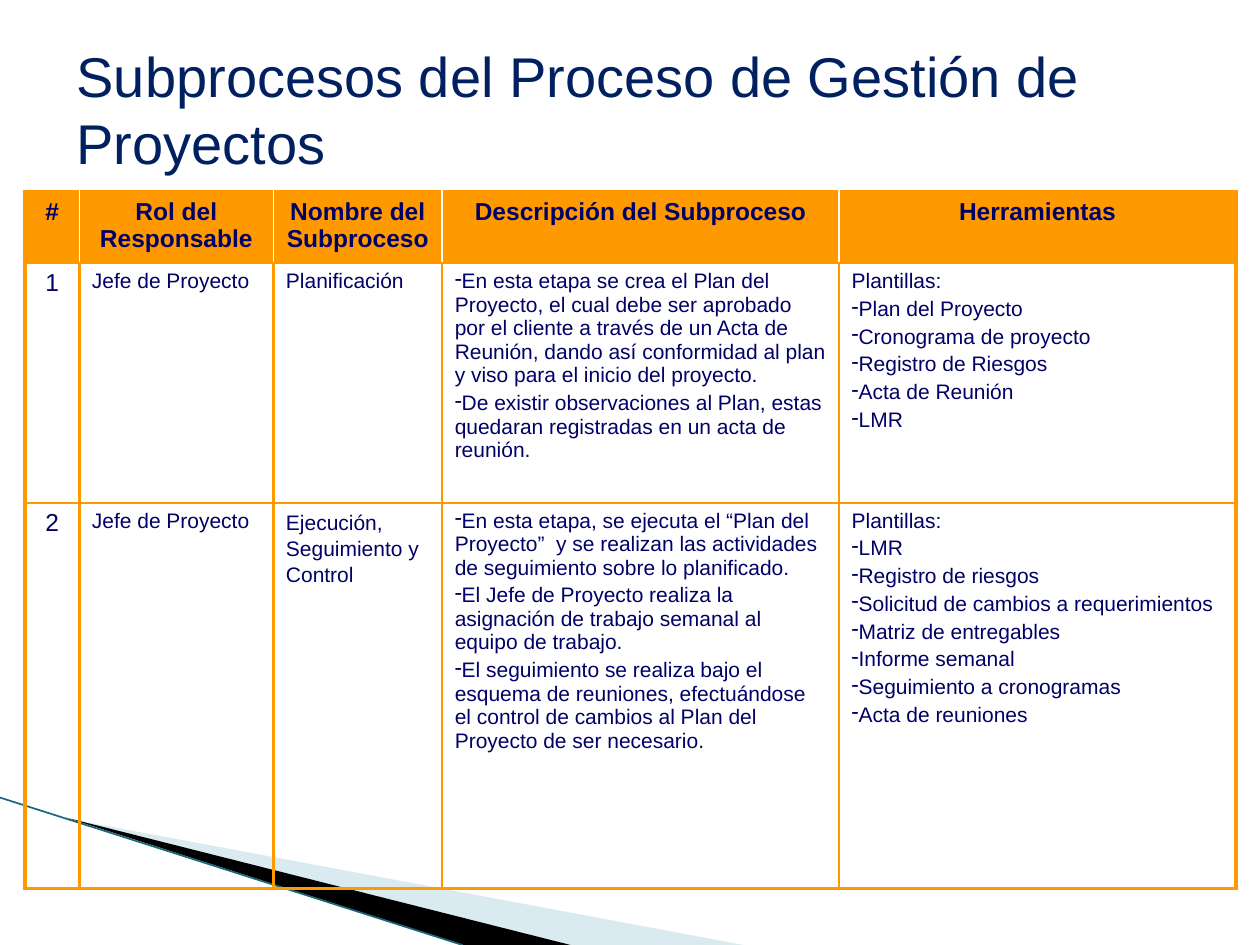
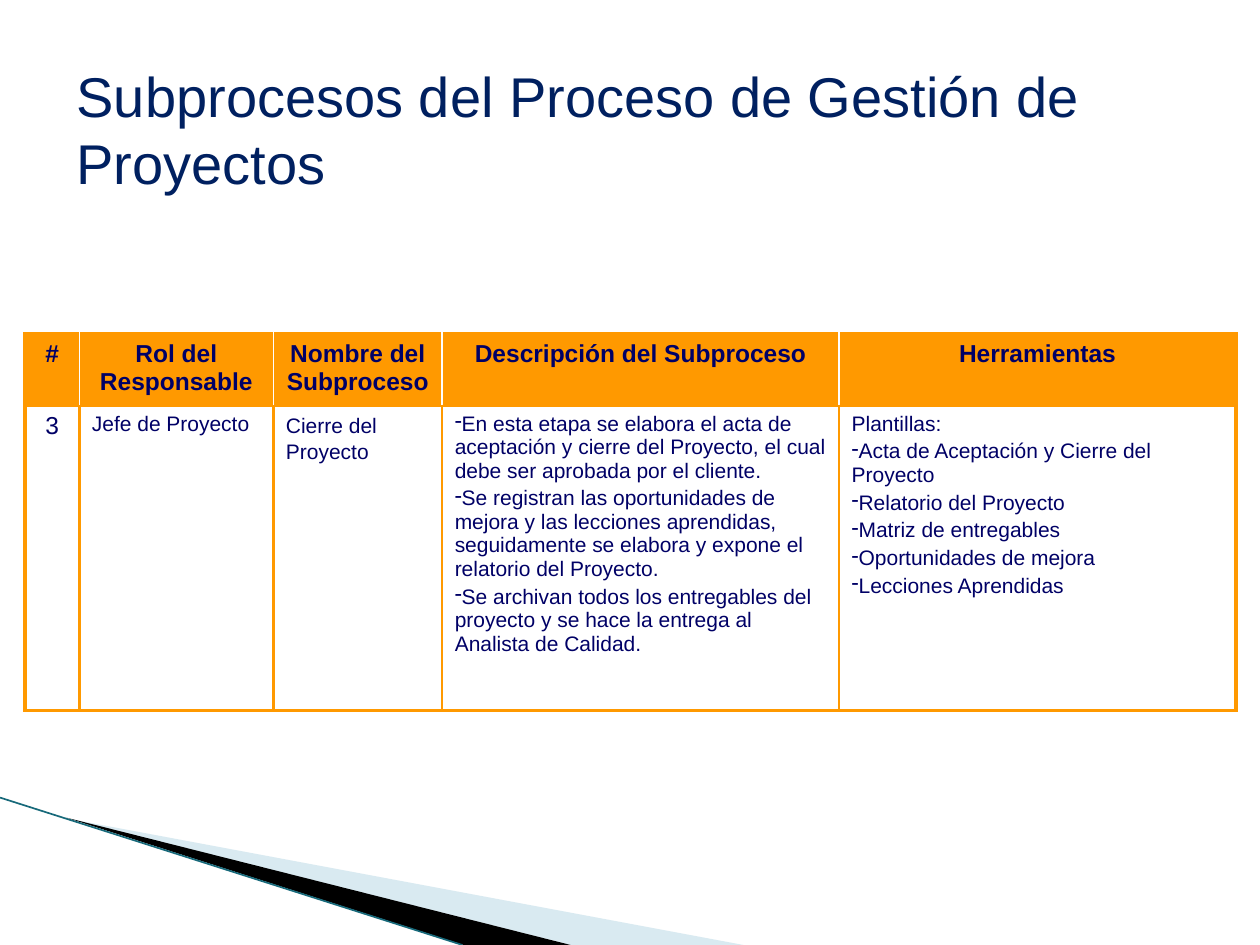
from dataclasses import dataclass

from lxml import etree
from pptx import Presentation
from pptx.dml.color import RGBColor
from pptx.enum.shapes import MSO_CONNECTOR
from pptx.enum.text import MSO_ANCHOR, PP_ALIGN
from pptx.oxml.ns import qn
from pptx.util import Inches, Pt

STRAIGHT = MSO_CONNECTOR.STRAIGHT
TOP = MSO_ANCHOR.TOP
CENTER, LEFT = PP_ALIGN.CENTER, PP_ALIGN.LEFT

COLORS = {
    "title": "002060",
    "text": "000066",
    "table": "FF9900",
    "divider": "FFFFFF",
    "pale_wedge": "A0CBDC",
    "dark_wedge": "000000",
    "edge": "17697A",
}
FONT = "Arial"
TITLE = "Subprocesos del Proceso de Gestión de Proyectos"
HEADERS = ["#", "Rol del Responsable", "Nombre del Subproceso",
           "Descripción del Subproceso", "Herramientas"]
COL_WIDTHS = [0.43, 1.54, 1.34, 3.15, 3.15]
TABLE_LEFT, HEADER_HEIGHT = 0.2, 0.57
OUTER, INNER, DIVIDER = 2.25, 1.5, 1


@dataclass
class Wedge:
    points: list[tuple[float, float]]
    color: str
    opacity: int = 100


@dataclass
class Subprocess:
    number: int
    name: str
    steps: list[str]
    templates: list[str]
    height: float
    name_spacing: float | None = 1.1
    role: str = "Jefe de Proyecto"


@dataclass
class ProcessSlide:
    title_top: float
    table_top: float
    subprocesses: list[Subprocess]


@dataclass
class Para:
    text: str
    size: int = 12
    bold: bool = False
    align: PP_ALIGN = LEFT
    bullet: bool = False
    line_spacing: float | None = None


WEDGES = [
    Wedge([(0.55, 6.5), (5.9, 7.5), (4.53, 7.5)], "pale_wedge", 40),
    Wedge([(0.53, 6.49), (4.53, 7.5), (3.68, 7.5)], "dark_wedge"),
]

SLIDES = [
    ProcessSlide(0.28, 1.52, [
        Subprocess(
            1, "Planificación",
            ["En esta etapa se crea el Plan del Proyecto, el cual debe ser aprobado por el "
             "cliente a través de un Acta de Reunión, dando así conformidad al plan y viso "
             "para el inicio del proyecto.",
             "De existir observaciones al Plan, estas quedaran registradas en un acta de "
             "reunión."],
            ["Plan del Proyecto", "Cronograma de proyecto", "Registro de Riesgos",
             "Acta de Reunión", "LMR"],
            1.9, name_spacing=None),
        Subprocess(
            2, "Ejecución, Seguimiento y Control",
            ["En esta etapa, se ejecuta el “Plan del Proyecto”  y se realizan las "
             "actividades de seguimiento sobre lo planificado.",
             "El Jefe de Proyecto realiza la asignación de trabajo semanal al equipo de "
             "trabajo.",
             "El seguimiento se realiza bajo el esquema de reuniones, efectuándose el "
             "control de cambios al Plan del Proyecto de ser necesario."],
            ["LMR", "Registro de riesgos", "Solicitud de cambios a requerimientos",
             "Matriz de entregables", "Informe semanal", "Seguimiento a cronogramas",
             "Acta de reuniones"],
            3.06),
    ]),
    ProcessSlide(0.44, 2.65, [
        Subprocess(
            3, "Cierre del Proyecto",
            ["En esta etapa se elabora el acta de aceptación y cierre del Proyecto, el "
             "cual debe ser aprobada por el cliente.",
             "Se registran las oportunidades de mejora y las lecciones aprendidas, "
             "seguidamente se elabora y expone el relatorio del Proyecto.",
             "Se archivan todos los entregables del proyecto y se hace la entrega al "
             "Analista de Calidad."],
            ["Acta de Aceptación y Cierre del Proyecto", "Relatorio del Proyecto",
             "Matriz de entregables", "Oportunidades de mejora", "Lecciones Aprendidas"],
            2.42),
    ]),
]


def rgb(name: str) -> RGBColor:
    return RGBColor.from_string(COLORS[name])


def add_run(p, text: str, size: int, color: str, bold: bool = False) -> None:
    r = p.add_run()
    r.text = text
    r.font.name, r.font.size, r.font.bold = FONT, Pt(size), bold
    r.font.color.rgb = rgb(color)


def add_wedge(s, wedge: Wedge) -> None:
    start, *rest = [(Inches(x), Inches(y)) for x, y in wedge.points]
    builder = s.shapes.build_freeform(*start, scale=1.0)
    builder.add_line_segments(rest, close=True)
    sp = builder.convert_to_shape()
    sp.shadow.inherit = False
    sp.line.fill.background()
    sp.fill.solid()
    sp.fill.fore_color.rgb = rgb(wedge.color)
    if wedge.opacity < 100:
        clr = sp.fill._xPr.find(qn("a:solidFill"))[0]
        etree.SubElement(clr, qn("a:alpha"), val=str(wedge.opacity * 1000))


def add_backdrop(s) -> None:
    for wedge in WEDGES:
        add_wedge(s, wedge)
    edge = s.shapes.add_connector(STRAIGHT, Inches(0), Inches(6.33),
                                  Inches(3.67), Inches(7.5))
    edge.line.color.rgb = rgb("edge")
    edge.line.width = Pt(0.95)
    etree.SubElement(edge._element.spPr, qn("a:effectLst"))


def add_title(s, top: float) -> None:
    tf = s.shapes.add_textbox(Inches(0.51), Inches(top), Inches(8.32), Inches(1.17)).text_frame
    tf.word_wrap = True
    add_run(tf.paragraphs[0], TITLE, 32, "title")


def set_borders(cell, row: int, col: int, last_row: int) -> None:
    """Heavy outer frame, lighter inner rules, thin white dividers in the header."""
    last_col = len(HEADERS) - 1
    inside = ("divider", DIVIDER) if row == 0 else ("table", INNER)
    frame = ("table", OUTER)
    borders = {
        "a:lnL": frame if col == 0 else inside,
        "a:lnR": frame if col == last_col else inside,
        "a:lnT": frame if row == 0 else ("table", INNER),
        "a:lnB": frame if row == last_row else ("table", INNER),
    }
    tc_pr = cell._tc.get_or_add_tcPr()
    for i, (tag, (color, width)) in enumerate(borders.items()):
        ln = etree.Element(qn(tag), w=str(Pt(width)))
        fill = etree.SubElement(ln, qn("a:solidFill"))
        etree.SubElement(fill, qn("a:srgbClr"), val=COLORS[color])
        tc_pr.insert(i, ln)


def fill_cell(cell, paras: list[Para]) -> None:
    cell.vertical_anchor = TOP
    tf = cell.text_frame
    for i, para in enumerate(paras):
        p = tf.add_paragraph() if i else tf.paragraphs[0]
        p.alignment = para.align
        if para.line_spacing:
            p.line_spacing = para.line_spacing
        else:
            p.space_before = Pt(para.size * 0.2)
        if para.bullet:
            p_pr = p._p.get_or_add_pPr()
            p_pr.set("marL", "0")
            p_pr.set("indent", "0")
            etree.SubElement(p_pr, qn("a:buChar"), char="-")
        add_run(p, para.text, para.size, "text", para.bold)


def subprocess_cells(sub: Subprocess) -> list[list[Para]]:
    return [
        [Para(str(sub.number), 14, align=CENTER)],
        [Para(sub.role)],
        [Para(sub.name, line_spacing=sub.name_spacing)],
        [Para(step, bullet=True) for step in sub.steps],
        [Para("Plantillas:")] + [Para(name, bullet=True) for name in sub.templates],
    ]


def add_process_table(s, top: float, subprocesses: list[Subprocess]) -> None:
    rows = [[[Para(h, 14, True, CENTER)] for h in HEADERS]]
    rows += [subprocess_cells(sub) for sub in subprocesses]
    heights = [HEADER_HEIGHT] + [sub.height for sub in subprocesses]
    table = s.shapes.add_table(len(rows), len(HEADERS), Inches(TABLE_LEFT), Inches(top),
                               Inches(sum(COL_WIDTHS)), Inches(sum(heights))).table
    table.first_row = table.horz_banding = False
    for column, width in zip(table.columns, COL_WIDTHS):
        column.width = Inches(width)
    for i, (cells, height) in enumerate(zip(rows, heights)):
        table.rows[i].height = Inches(height)
        for j, paras in enumerate(cells):
            cell = table.cell(i, j)
            if i == 0:
                cell.fill.solid()
                cell.fill.fore_color.rgb = rgb("table")
            else:
                cell.fill.background()
            fill_cell(cell, paras)
            set_borders(cell, i, j, len(rows) - 1)


def main() -> None:
    prs = Presentation()
    prs.slide_width, prs.slide_height = Inches(10), Inches(7.5)
    for content in SLIDES:
        s = prs.slides.add_slide(prs.slide_layouts[6])
        add_backdrop(s)
        add_process_table(s, content.table_top, content.subprocesses)
        add_title(s, content.title_top)
    prs.save("out.pptx")


if __name__ == "__main__":
    main()
